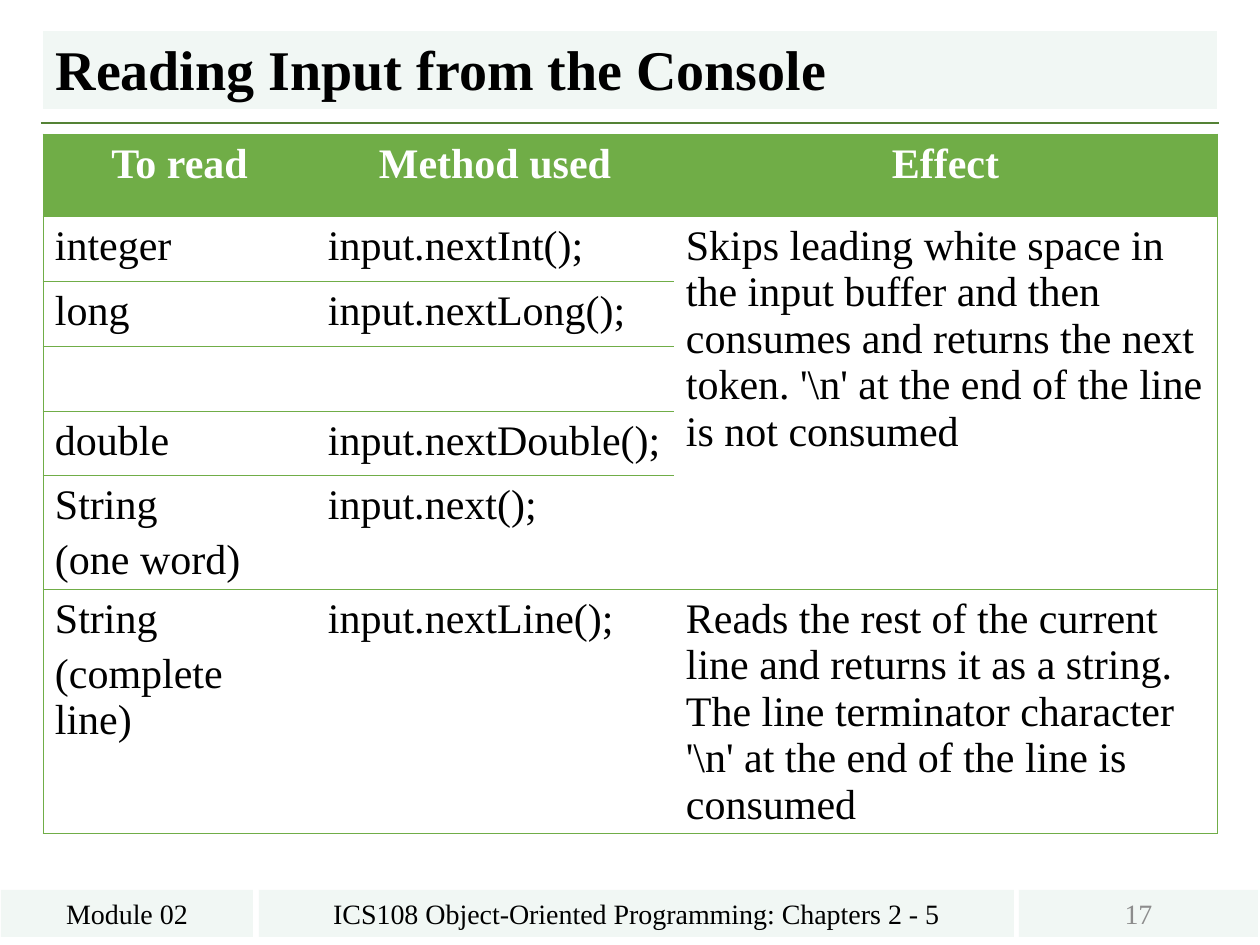
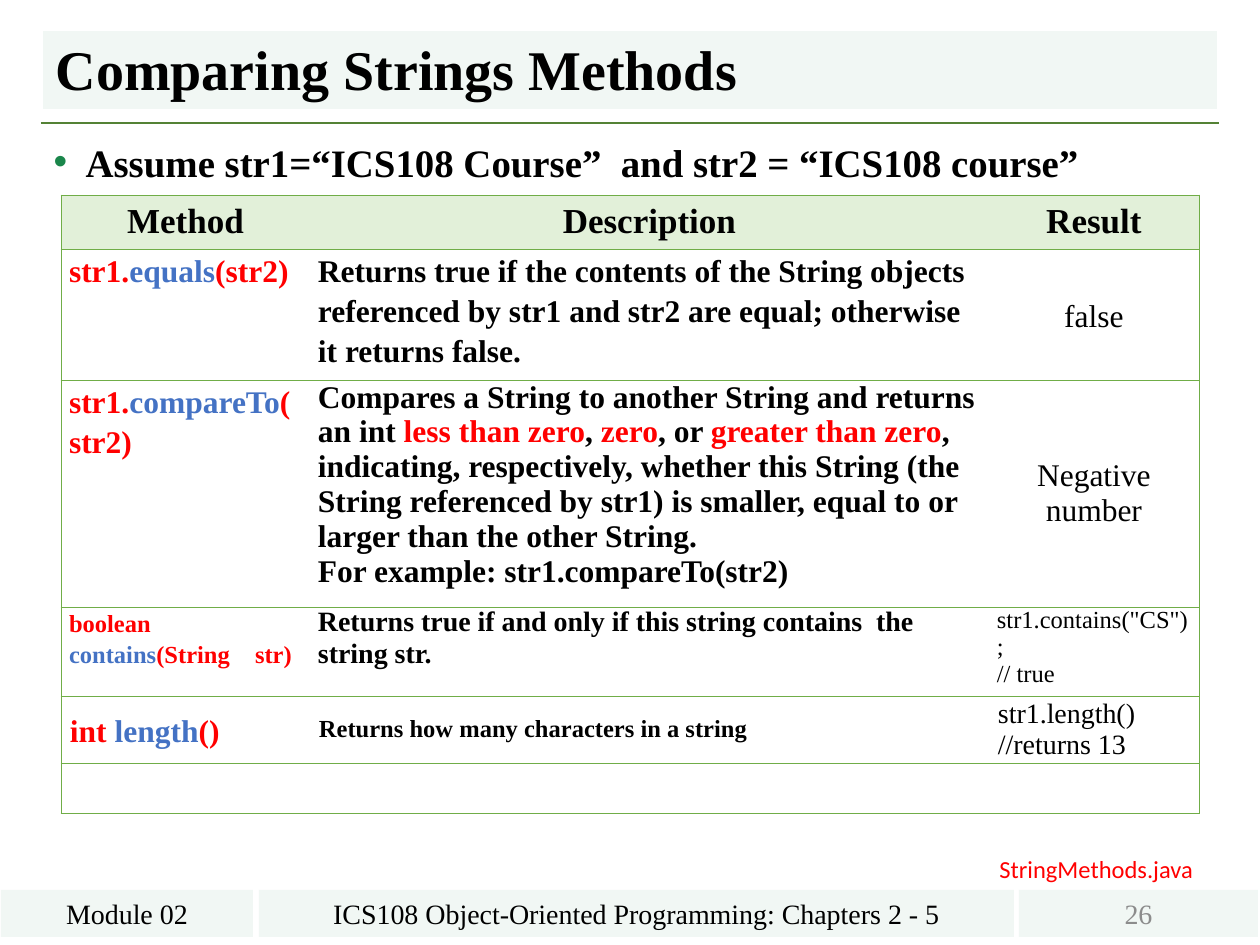
"""Builds two lecture slides on console input and string methods."""
from lxml.etree import SubElement
from pptx import Presentation
from pptx.dml.color import RGBColor
from pptx.enum.shapes import MSO_CONNECTOR as CONN, MSO_SHAPE as SHAPE
from pptx.enum.text import MSO_ANCHOR as ANCHOR, MSO_AUTO_SIZE as FIT, PP_ALIGN as ALIGN
from pptx.oxml.ns import qn
from pptx.util import Pt

BLACK = RGBColor(0x00, 0x00, 0x00)
WHITE = RGBColor(0xFF, 0xFF, 0xFF)
RED = RGBColor(0xFF, 0x00, 0x00)
BLUE = RGBColor(0x44, 0x72, 0xC4)
GREY = RGBColor(0x8C, 0x8C, 0x8C)
BAND = RGBColor(0xF1, 0xF7, 0xF4)
RULE = RGBColor(0x54, 0x82, 0x35)
GREEN = RGBColor(0x70, 0xAD, 0x47)
PALE_GREEN = RGBColor(0xE2, 0xF0, 0xD9)
BULLET = RGBColor(0x1A, 0x86, 0x4B)
SERIF = "Times New Roman"
TITLE_AREA = (43, 31, 1174, 78)
FOOTERS = [
    ("Module 02", (1, 890, 252, 47), BLACK),
    ("ICS108 Object-Oriented Programming: Chapters 2 - 5", (259, 890, 755, 47), BLACK),
    (None, (1019, 890, 239, 47), GREY),
]


def px(n):
    return round(n * 914400 / 126)


def call(before, name, after):
    return [(before, RED), (name, BLUE), (after, RED)]


CENTER = dict(align=ALIGN.CENTER)
SPACED = dict(line=1.15, after=5)
BOLD = dict(bold=True)
MIDDLE = dict(anchor=ANCHOR.MIDDLE)
INSET = dict(inset=9)

READING = dict(
    at=(43, 134), cols=(273, 358, 543), margins=(12, 7, 5), header=GREEN,
    merge=((1, 2), (5, 2)), text=dict(size=24, before=4.8),
    head=dict(color=WHITE, bold=True, **CENTER),
    rows=[
        (82, ["To read", "Method used", "Effect"]),
        (65, ["integer", "input.nextInt();",
              "Skips leading white space in the input buffer and then consumes and "
              "returns the next token. '\\n' at the end of the line is not consumed"]),
        (65, ["long", "input.nextLong();", None]),
        (65, [None, None, None]),
        (64, ["double", "input.nextDouble();", None]),
        (114, [["String", "(one word)"], "input.next();", None]),
        (245, [["String", "(complete line)"], "input.nextLine();",
               "Reads the rest of the current line and returns it as a string. The line "
               "terminator character '\\n' at the end of the line is consumed"]),
    ])

COMPARING = dict(
    at=(61, 195), cols=(249, 679, 210), margins=(8, 0, 0), header=PALE_GREEN,
    merge=None, text=dict(size=18), head=dict(size=20, bold=True, **CENTER, **MIDDLE),
    rows=[
        (54, ["Method", "Description", "Result"]),
        (131, [
            ([call("str1.", "equals", "(str2)")], BOLD | SPACED),
            ("Returns true if the contents of the String objects referenced by str1 and "
             "str2 are equal; otherwise it returns false.", BOLD | SPACED),
            ("false", CENTER | SPACED | MIDDLE)]),
        (227, [
            ([call("str1.", "compareTo", "(str2)")], BOLD | SPACED),
            ([[("Compares a String to another String and returns an int ", BLACK),
               ("less than zero", RED), (", ", BLACK), ("zero", RED), (", or ", BLACK),
               ("greater than zero", RED),
               (", indicating, respectively, whether this String (the String referenced "
                "by str1) is smaller, equal to or larger than the other String.", BLACK)],
              "For example: str1.compareTo(str2)"], BOLD),
            ("Negative number", CENTER | MIDDLE)]),
        (89, [
            ([call("boolean ", "contains", "(String\tstr)")],
             dict(size=14, line=1.15, tab=186) | BOLD),
            ("Returns true if and only if this string contains  the string str.",
             dict(size=16) | BOLD),
            (['str1.contains("CS");', "// true"], dict(size=14))]),
        (67, [
            ([call("int ", "length", "()")], dict(line=1.15) | BOLD | MIDDLE | INSET),
            ("Returns how many characters in a string",
             dict(size=14) | BOLD | MIDDLE | INSET),
            (["str1.length()", "//returns 13"], dict(size=16) | MIDDLE | INSET)]),
        (51, [None, None, None]),
    ])

SLIDES = [
    dict(title="Reading Input from the Console", number="17", table=READING, layout=5),
    dict(title="Comparing Strings Methods", number="26", table=COMPARING, layout=1,
         bullet="Assume str1=“ICS108 Course”  and str2 = “ICS108 course”",
         source="StringMethods.java"),
]


def write(tf, paras, size=16, color=BLACK, bold=False, font=SERIF, align=ALIGN.LEFT,
          line=1.0, before=0, after=0, bullet=None, tab=None):
    paras = [paras] if isinstance(paras, str) else paras
    for i, para in enumerate(paras):
        p = tf.add_paragraph() if i else tf.paragraphs[0]
        pPr = p._p.get_or_add_pPr()
        if bullet:
            pPr.set("marL", str(px(32)))
            pPr.set("indent", str(px(-32)))
            clr = SubElement(pPr, qn("a:buClr"))
            SubElement(clr, qn("a:srgbClr"), val=str(BULLET))
            SubElement(pPr, qn("a:buFont"), typeface="Arial")
            SubElement(pPr, qn("a:buChar"), char=bullet)
        if tab:
            tabs = SubElement(pPr, qn("a:tabLst"))
            SubElement(tabs, qn("a:tab"), pos=str(px(tab)), algn="l")
        p.alignment, p.line_spacing = align, line
        p.space_before, p.space_after = Pt(before if i else 0), Pt(after)
        for text, tint in [(para, color)] if isinstance(para, str) else para:
            r = p.add_run()
            r.text = text
            r.font.name, r.font.size, r.font.bold = font, Pt(size), bold
            r.font.color.rgb = tint


def place(sp, area):
    sp.left, sp.top, sp.width, sp.height = map(px, area)
    sp.text_frame.auto_size = FIT.NONE


def add_frame(s, title, number):
    place(s.shapes.title, TITLE_AREA)
    s.shapes.title.fill.solid()
    s.shapes.title.fill.fore_color.rgb = BAND
    tf = s.shapes.title.text_frame
    tf.vertical_anchor = ANCHOR.BOTTOM
    write(tf, title, size=32, bold=True, line=0.9)

    rule = s.shapes.add_connector(CONN.STRAIGHT, px(41), px(123), px(1219), px(123))
    rule.line.color.rgb, rule.line.width = RULE, Pt(1.5)
    SubElement(rule._element.spPr, qn("a:effectLst"))

    for text, area, color in FOOTERS:
        sp = s.shapes.add_shape(SHAPE.RECTANGLE, *map(px, area))
        sp.shadow.inherit = False
        sp.fill.solid()
        sp.fill.fore_color.rgb = BAND
        sp.line.fill.background()
        sp.text_frame.word_wrap = True
        sp.text_frame.vertical_anchor = ANCHOR.MIDDLE
        write(sp.text_frame, text or number, color=color, **CENTER)


def set_borders(cell, drawn):
    tcPr = cell._tc.get_or_add_tcPr()
    for side in "LRTB":
        ln = SubElement(tcPr, qn("a:ln" + side), w=str(Pt(0.5)))
        if side in drawn:
            fill = SubElement(ln, qn("a:solidFill"))
            SubElement(fill, qn("a:srgbClr"), val=str(GREEN))
        else:
            SubElement(ln, qn("a:noFill"))


def add_grid(s, at, cols, rows, margins, header, merge, text, head):
    heights = [height for height, _ in rows]
    size = (sum(cols), sum(heights))
    table = s.shapes.add_table(len(rows), len(cols), *map(px, at + size)).table
    table.first_row = table.horz_banding = False
    for col, width in zip(table.columns, cols):
        col.width = px(width)
    if merge:
        table.cell(*merge[0]).merge(table.cell(*merge[1]))
    last_row, last_col = len(rows) - 1, len(cols) - 1
    side, top, bottom = margins
    for i, (height, items) in enumerate(rows):
        table.rows[i].height = px(height)
        for j, item in enumerate(items):
            cell = table.cell(i, j)
            drawn = "L" * (j == 0) + "R" * (j == last_col) + "T" * (not cell.is_spanned)
            if i == last_row or not table.cell(i + 1, j).is_spanned:
                drawn += "B"
            set_borders(cell, drawn)
            if i:
                cell.fill.background()
            else:
                cell.fill.solid()
                cell.fill.fore_color.rgb = header
            paras, own = item if isinstance(item, tuple) else (item, {})
            style = text | own | ({} if i else head)
            cell.margin_left = cell.margin_right = px(style.pop("inset", side))
            cell.margin_top, cell.margin_bottom = px(top), px(bottom)
            cell.vertical_anchor = style.pop("anchor", ANCHOR.TOP)
            if paras:
                write(cell.text_frame, paras, **style)


def main():
    prs = Presentation()
    prs.slide_width, prs.slide_height = px(1260), px(945)
    for page in SLIDES:
        s = prs.slides.add_slide(prs.slide_layouts[page["layout"]])
        add_frame(s, page["title"], page["number"])
        add_grid(s, **page["table"])
        if "bullet" in page:
            body = s.placeholders[1]
            place(body, (41, 141, 1177, 54))
            write(body.text_frame, page["bullet"], size=22.2, bold=True, line=0.8, bullet="•")
        if "source" in page:
            sp = s.shapes.add_textbox(*map(px, (987, 848, 222, 43)))
            write(sp.text_frame, page["source"], size=14, color=RED, font="Calibri")
    prs.save("out.pptx")


if __name__ == "__main__":
    main()
